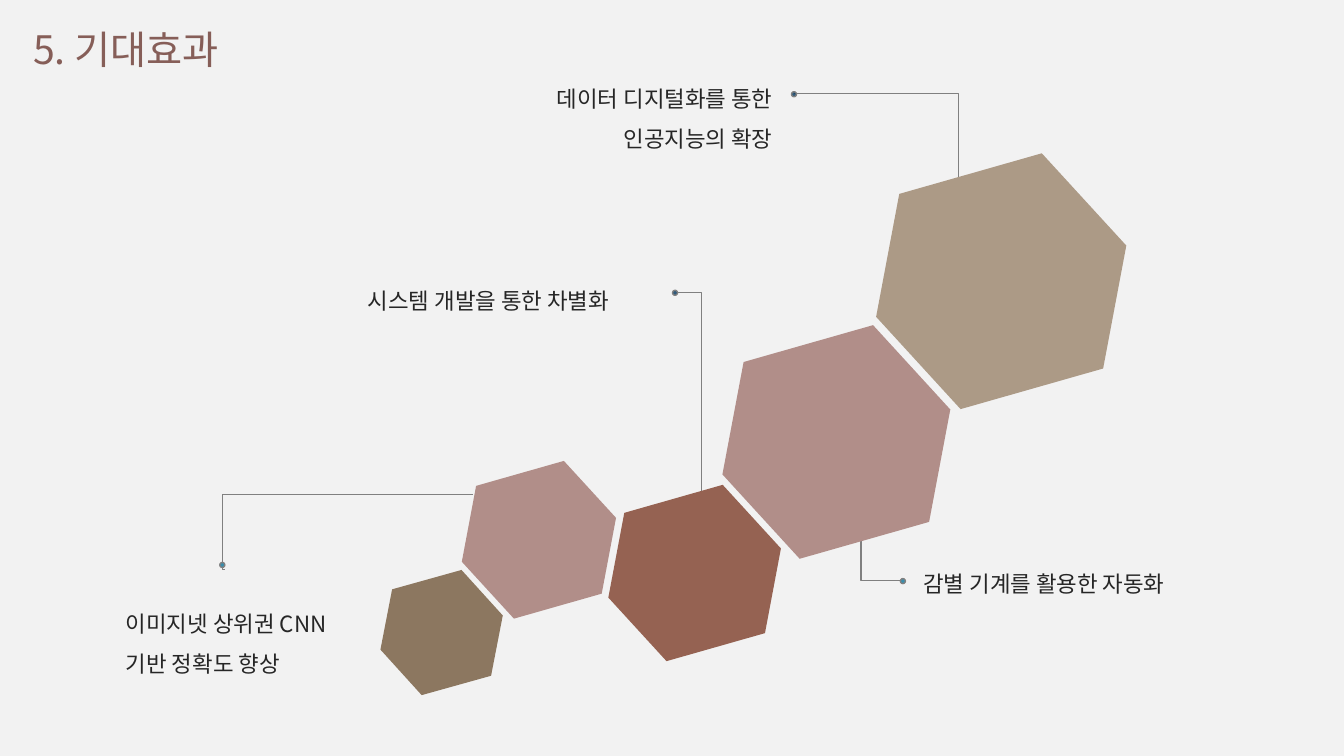
from dataclasses import dataclass

from lxml import etree
from pptx import Presentation
from pptx.dml.color import RGBColor
from pptx.enum import shapes as kinds, text as styles
from pptx.oxml import ns
from pptx.slide import Slide
from pptx.util import Inches, Pt

BACKGROUND = RGBColor(0xF2, 0xF2, 0xF2)
INK = RGBColor(0x26, 0x26, 0x26)
TITLE_ROSE = RGBColor(0x86, 0x5E, 0x58)
LEADER_GRAY = RGBColor(0x80, 0x80, 0x80)
TEAL = RGBColor(0x39, 0x8E, 0xAD)
NAVY = RGBColor(0x00, 0x34, 0x5E)
ROSE = RGBColor(0xB1, 0x8E, 0x89)
SAND = RGBColor(0xAC, 0x9A, 0x86)
RUST = RGBColor(0x95, 0x62, 0x52)
OLIVE = RGBColor(0x8C, 0x77, 0x60)
FONT = "Noto Sans CJK KR"
DOT_SIZE = 0.05


@dataclass(frozen=True)
class Leader:
    start: tuple[float, float]
    end: tuple[float, float]
    dot: tuple[float, float]
    dot_color: RGBColor
    opacity: int = 100
    bend: float = 1.0


@dataclass(frozen=True)
class Hexagon:
    left: float
    top: float
    width: float
    height: float
    color: RGBColor
    rotation: float = 344.1


@dataclass(frozen=True)
class Label:
    left: float
    top: float
    width: float
    height: float
    lines: tuple[str, ...]
    align: styles.PP_ALIGN = styles.PP_ALIGN.LEFT
    anchor: styles.MSO_ANCHOR = styles.MSO_ANCHOR.TOP
    size: int = 16
    color: RGBColor = INK
    spacing: float = 1.5


LEADERS = (
    Leader((4.69, 4.91), (2.23, 5.65), (2.18, 5.58), TEAL, bend=1.01),
    Leader((6.72, 2.9), (6.96, 4.95), (6.67, 2.88), NAVY, opacity=80),
    Leader((8.94, 5.76), (8.54, 5.36), (8.93, 5.74), TEAL),
    Leader((7.88, 0.93), (9.51, 1.83), (7.85, 0.91), NAVY, opacity=80),
)

HEXAGONS = (
    Hexagon(4.55, 4.67, 1.59, 1.37, ROSE),
    Hexagon(8.64, 1.68, 2.58, 2.22, SAND),
    Hexagon(6, 4.92, 1.78, 1.53, RUST),
    Hexagon(7.12, 3.37, 2.35, 2.03, ROSE),
    Hexagon(3.75, 5.73, 1.26, 1.09, OLIVE, rotation=344.4),
)

LABELS = (
    Label(3.55, 2.67, 3.12, 0.45, ("시스템 개발을 통한 차별화",)),
    Label(1.15, 5.87, 2.5, 0.86, ("이미지넷 상위권 CNN 기반 정확도 향상",)),
    Label(9.06, 5.47, 3.25, 0.45, ("감별 기계를 활용한 자동화",)),
    Label(4.64, 0.66, 3.12, 0.86, ("데이터 디지털화를 통한", "인공지능의 확장"),
          align=styles.PP_ALIGN.RIGHT),
    Label(0.23, 0.19, 9.02, 0.58, ("5. 기대효과",), anchor=styles.MSO_ANCHOR.MIDDLE,
          size=28, color=TITLE_ROSE, spacing=1.0),
)


def apply_format(target: object, values: dict[str, object]) -> None:
    for attribute, value in values.items():
        setattr(target, attribute, value)


def draw_leader(slide: Slide, leader: Leader) -> None:
    points = [Inches(value) for value in (*leader.start, *leader.end)]
    elbow = slide.shapes.add_connector(kinds.MSO_CONNECTOR.ELBOW, *points)
    elbow.line.color.rgb = LEADER_GRAY
    elbow.line.width = Pt(0.75)
    properties = elbow._element.spPr
    etree.SubElement(properties, ns.qn("a:effectLst"))
    adjustments = properties.find(f"{ns.qn('a:prstGeom')}/{ns.qn('a:avLst')}")
    etree.SubElement(adjustments, ns.qn("a:gd"), name="adj1",
                     fmla=f"val {round(leader.bend * 100000)}")

    left, top = leader.dot
    dot = slide.shapes.add_shape(kinds.MSO_SHAPE.OVAL, Inches(left), Inches(top),
                                 Inches(DOT_SIZE), Inches(DOT_SIZE))
    dot.shadow.inherit = False
    dot.fill.solid()
    dot.fill.fore_color.rgb = leader.dot_color
    if leader.opacity < 100:
        tint = dot._element.spPr.find(f"{ns.qn('a:solidFill')}/{ns.qn('a:srgbClr')}")
        etree.SubElement(tint, ns.qn("a:alpha"), val=str(leader.opacity * 1000))
    dot.line.color.rgb = LEADER_GRAY
    dot.line.width = Pt(1)


def draw_hexagon(slide: Slide, hexagon: Hexagon) -> None:
    cell = slide.shapes.add_shape(kinds.MSO_SHAPE.HEXAGON, Inches(hexagon.left),
                                  Inches(hexagon.top), Inches(hexagon.width),
                                  Inches(hexagon.height))
    cell.rotation = hexagon.rotation
    cell.shadow.inherit = False
    cell.fill.solid()
    cell.fill.fore_color.rgb = hexagon.color
    cell.line.fill.background()


def draw_label(slide: Slide, label: Label) -> None:
    frame = slide.shapes.add_textbox(Inches(label.left), Inches(label.top),
                                     Inches(label.width), Inches(label.height)).text_frame
    apply_format(frame, {"word_wrap": True, "vertical_anchor": label.anchor})
    for index, line in enumerate(label.lines):
        paragraph = frame.add_paragraph() if index else frame.paragraphs[0]
        apply_format(paragraph, {"alignment": label.align, "line_spacing": label.spacing})
        run = paragraph.add_run()
        run.text = line
        apply_format(run.font, {"name": FONT, "size": Pt(label.size)})
        run.font.color.rgb = label.color
        etree.SubElement(run._r.get_or_add_rPr(), ns.qn("a:ea"), typeface=FONT)


def main() -> None:
    deck = Presentation()
    apply_format(deck, {"slide_width": Inches(13.33), "slide_height": Inches(7.5)})
    slide = deck.slides.add_slide(deck.slide_layouts[6])
    slide.background.fill.solid()
    slide.background.fill.fore_color.rgb = BACKGROUND
    for leader in LEADERS:
        draw_leader(slide, leader)
    for hexagon in HEXAGONS:
        draw_hexagon(slide, hexagon)
    for label in LABELS:
        draw_label(slide, label)
    deck.save("out.pptx")


if __name__ == "__main__":
    main()
